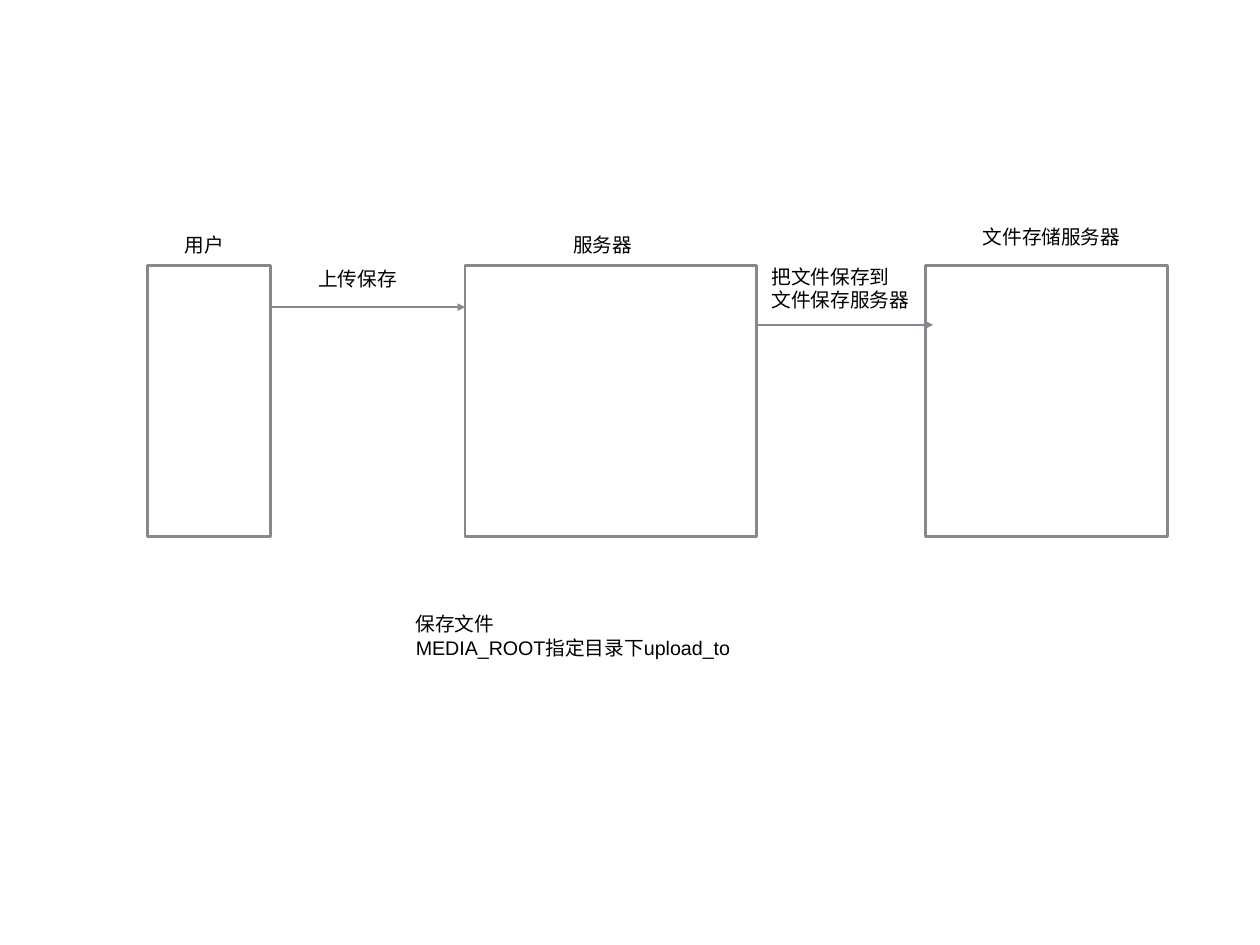
from dataclasses import dataclass

from lxml import etree
from pptx import Presentation
from pptx.dml.color import RGBColor
from pptx.enum.shapes import MSO_CONNECTOR, MSO_SHAPE
from pptx.enum.text import MSO_ANCHOR, MSO_AUTO_SIZE
from pptx.oxml.ns import qn
from pptx.slide import Slide
from pptx.util import Inches, Pt

RECTANGLE = MSO_SHAPE.RECTANGLE
STRAIGHT = MSO_CONNECTOR.STRAIGHT
MIDDLE = MSO_ANCHOR.MIDDLE
NO_AUTO_SIZE = MSO_AUTO_SIZE.NONE

SLIDE_WIDTH, SLIDE_HEIGHT = Inches(14.22), Inches(10.67)
COLUMNS, ROWS = 128, 96
BLANK_LAYOUT = 6


@dataclass(frozen=True)
class Theme:
    font: str = "Arial"
    text_size: Pt = Pt(16)
    text_color: RGBColor = RGBColor(0x00, 0x00, 0x00)
    line_color: RGBColor = RGBColor(0x85, 0x88, 0x8D)
    line_width: Pt = Pt(2)
    inset: Inches = Inches(0.06)


@dataclass(frozen=True)
class Node:
    column: float
    width: float


@dataclass(frozen=True)
class Arrow:
    start: float
    end: float
    row: float


@dataclass(frozen=True)
class Label:
    column: float
    row: float
    width: float
    lines: tuple[str, ...]
    wraps: bool = False


THEME = Theme()
NODE_ROW, NODE_HEIGHT = 27, 27.5
ONE_LINE_HEIGHT, TWO_LINE_HEIGHT = 3.8, 6.5

USER = Node(15, 12.5)
SERVER = Node(47.25, 29.6)
STORAGE = Node(94, 24.6)
NODES = (USER, SERVER, STORAGE)

ARROWS = (
    Arrow(USER.column + USER.width, SERVER.column, 31.2),
    Arrow(77, 94.8, 33),
)

LABELS = (
    Label(18.2, 23, 5.1, ("用户",)),
    Label(57.7, 23, 7.1, ("服务器",)),
    Label(99.3, 22.15, 15.1, ("文件存储服务器",)),
    Label(31.8, 26.45, 9.1, ("上传保存",)),
    Label(77.85, 26, 15.1, ("把文件保存到", "文件保存服务器")),
    Label(41.7, 61.3, 33.1, ("保存文件", "MEDIA_ROOT指定目录下upload_to"), wraps=True),
)


def across(columns: float) -> int:
    return round(SLIDE_WIDTH * columns / COLUMNS)


def down(rows: float) -> int:
    return round(SLIDE_HEIGHT * rows / ROWS)


def draw_node(slide: Slide, node: Node) -> None:
    shape = slide.shapes.add_shape(
        RECTANGLE, across(node.column), down(NODE_ROW), across(node.width), down(NODE_HEIGHT)
    )
    shape.shadow.inherit = False
    shape.fill.background()
    shape.line.color.rgb = THEME.line_color
    shape.line.width = THEME.line_width


def draw_arrow(slide: Slide, arrow: Arrow) -> None:
    connector = slide.shapes.add_connector(
        STRAIGHT, across(arrow.start), down(arrow.row), across(arrow.end), down(arrow.row)
    )
    connector.line.color.rgb = THEME.line_color
    connector.line.width = THEME.line_width
    properties = connector.element.spPr
    etree.SubElement(properties.find(qn("a:ln")), qn("a:tailEnd"), type="triangle")
    etree.SubElement(properties, qn("a:effectLst"))


def draw_label(slide: Slide, label: Label) -> None:
    height = ONE_LINE_HEIGHT if len(label.lines) == 1 else TWO_LINE_HEIGHT
    box = slide.shapes.add_textbox(
        across(label.column), down(label.row), across(label.width), down(height)
    )
    frame = box.text_frame
    frame.word_wrap = label.wraps
    frame.auto_size = NO_AUTO_SIZE
    frame.vertical_anchor = MIDDLE
    frame.margin_left = frame.margin_right = THEME.inset
    frame.margin_top = frame.margin_bottom = THEME.inset
    for index, line in enumerate(label.lines):
        paragraph = frame.add_paragraph() if index else frame.paragraphs[0]
        run = paragraph.add_run()
        run.text = line
        run.font.name = THEME.font
        run.font.size = THEME.text_size
        run.font.color.rgb = THEME.text_color


def main() -> None:
    presentation = Presentation()
    presentation.slide_width = SLIDE_WIDTH
    presentation.slide_height = SLIDE_HEIGHT
    slide = presentation.slides.add_slide(presentation.slide_layouts[BLANK_LAYOUT])
    for node in NODES:
        draw_node(slide, node)
    for arrow in ARROWS:
        draw_arrow(slide, arrow)
    for label in LABELS:
        draw_label(slide, label)
    presentation.save("out.pptx")


if __name__ == "__main__":
    main()
